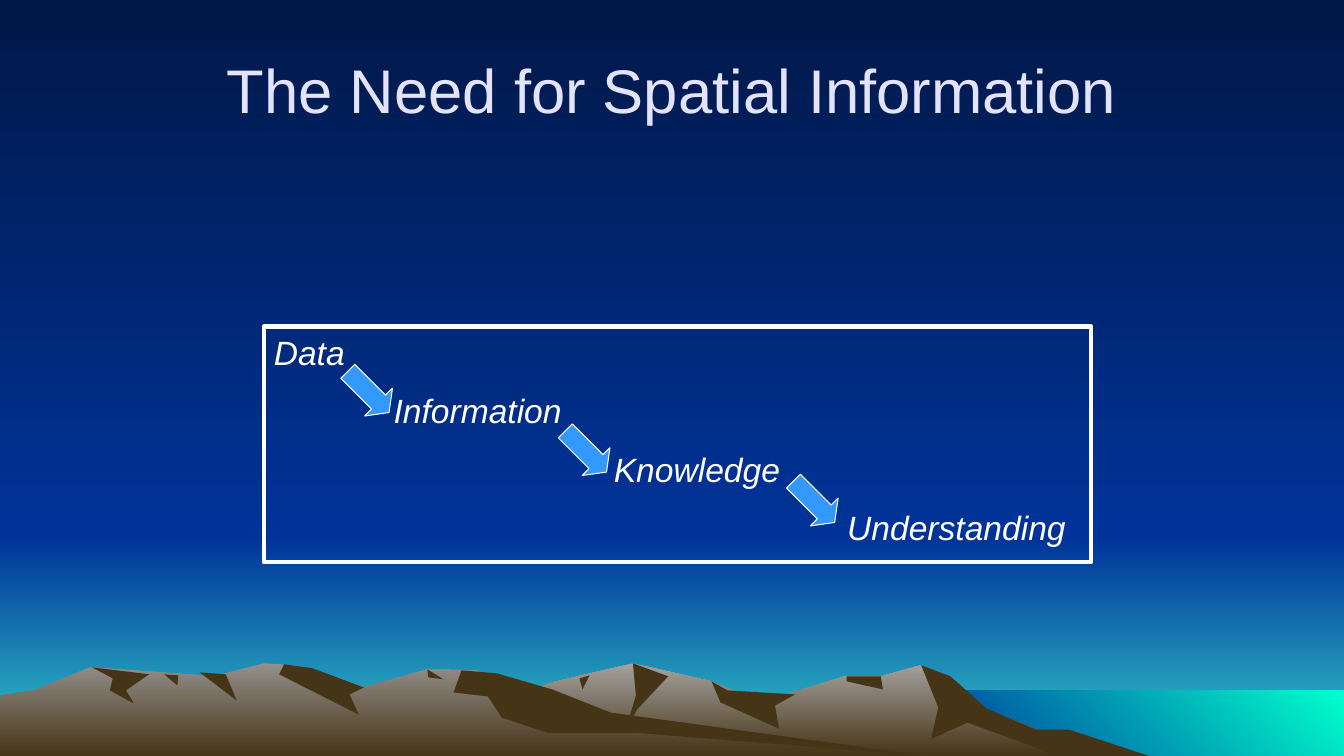
from pptx import Presentation
from pptx.dml.color import RGBColor
from pptx.enum.shapes import MSO_SHAPE
from pptx.enum.text import MSO_ANCHOR, PP_ALIGN
from pptx.util import Cm, Pt

HEX = {"night": "001847", "blue": "003399", "dusk": "33CCCC", "sea": "00FFCC",
       "rock": "463416", "stone": "A5A29F", "ridge": "938F8B",
       "title": "E3E3FF", "white": "FFFFFF", "arrow": "3399FF"}
FONT = "Arial"
TITLE = "The Need for Spatial Information"

# word, indent in cm
STEPS = [("Data", 0), ("Information", 3.02), ("Knowledge", 8.57), ("Understanding", 14.45)]
# left, top in cm
ARROWS = [(8.79, 9.14), (14.27, 10.64), (20.02, 11.91)]

WIDE, HIGH, SHORE = 33.87, 19.05, 13.54
# left, top, right, bottom in cm, first and last colour, angle
BANDS = [
    (0, SHORE, WIDE, HIGH, "blue", "dusk", 270),
    (0, 0, WIDE, SHORE, "night", "blue", 270),
    (23.14, 17.4, WIDE, HIGH, "blue", "sea", 45),
]

# Outlines in hundredths of an inch; first colour of the slope, or None for plain rock
UNIT = Cm(2.54) / 100
HILLS = [
    ("stone", [(344, 750), (548, 677), (628, 658), (706, 676), (755, 697),
               (838, 671), (874, 671), (913, 660), (964, 698), (1094, 750)]),
    (None, [(914, 660), (943, 671), (979, 703), (1028, 724), (1061, 724),
            (1140, 750), (1050, 750), (960, 717), (924, 733), (931, 702)]),
    (None, [(628, 658), (663, 671), (632, 704), (620, 727), (631, 690)]),
    (None, [(706, 676), (722, 685), (789, 689), (769, 700), (773, 723), (715, 697)]),
    (None, [(840, 671), (874, 671), (876, 684), (840, 676)]),
    (None, [(575, 673), (585, 670), (578, 684)]),
    ("ridge", [(0, 750), (0, 690), (34, 685), (90, 662), (213, 671), (262, 658),
               (292, 660), (361, 682), (424, 664), (472, 665), (576, 712), (920, 750)]),
    (None, [(282, 659), (310, 663), (361, 682), (347, 689), (356, 709), (277, 669)]),
    (None, [(458, 665), (493, 668), (548, 684), (606, 707), (920, 750),
            (630, 727), (543, 727), (498, 712), (484, 691), (450, 687)]),
    (None, [(424, 664), (440, 674), (425, 672)]),
    (None, [(198, 667), (224, 669), (235, 695)]),
    (None, [(163, 669), (177, 670), (176, 680)]),
    (None, [(91, 662), (148, 669), (125, 685), (133, 698), (109, 685), (112, 673)]),
]


def rgb(name):
    return RGBColor.from_string(HEX[name])


def blend(fill, first, last, angle=270):
    fill.gradient()
    fill.gradient_angle = angle
    for stop, name in zip(fill.gradient_stops, (first, last)):
        stop.color.rgb = rgb(name)


def paint(shape, fill=None, line=None, width=0):
    """Set plain fill and line, where None means none, and drop the shadow."""
    shape.shadow.inherit = False
    if fill:
        shape.fill.solid()
        shape.fill.fore_color.rgb = rgb(fill)
    else:
        shape.fill.background()
    if line:
        shape.line.color.rgb = rgb(line)
        shape.line.width = Pt(width)
    else:
        shape.line.fill.background()


def write(para, text, size, color, italic=False):
    run = para.add_run()
    run.text = text
    font = run.font
    font.name, font.size, font.italic = FONT, Pt(size), italic
    font.color.rgb = rgb(color)


def scene(slide):
    blend(slide.background.fill, "night", "blue")
    for left, top, right, bottom, first, last, angle in BANDS:
        band = slide.shapes.add_shape(
            MSO_SHAPE.RECTANGLE, Cm(left), Cm(top), Cm(right - left), Cm(bottom - top))
        paint(band)
        blend(band.fill, first, last, angle)
    for light, points in HILLS:
        pen = slide.shapes.build_freeform(*points[0], scale=UNIT)
        pen.add_line_segments(points[1:], close=True)
        hill = pen.convert_to_shape()
        paint(hill, "rock")
        if light:
            blend(hill.fill, light, "rock")


def heading(slide):
    title = slide.shapes.title
    title.left, title.top, title.width, title.height = Cm(1.7), Cm(0.64), Cm(30.48), Cm(3.18)
    title.text_frame.vertical_anchor = MSO_ANCHOR.MIDDLE
    para = title.text_frame.paragraphs[0]
    para.alignment = PP_ALIGN.CENTER
    write(para, TITLE, 44, "title")
    # Bring the title in front of the scene
    title.element.getparent().append(title.element)


def stairs(slide):
    box = slide.shapes.add_shape(MSO_SHAPE.RECTANGLE, Cm(6.65), Cm(8.23), Cm(20.85), Cm(5.94))
    paint(box, line="white", width=3)
    frame = box.text_frame
    frame.word_wrap = True
    frame.vertical_anchor = MSO_ANCHOR.TOP
    for i, (word, indent) in enumerate(STEPS):
        para = frame.add_paragraph() if i else frame.paragraphs[0]
        para.alignment = PP_ALIGN.LEFT
        para._p.get_or_add_pPr().set("marL", str(Cm(indent)))
        if i:
            para.space_before = Pt(13)
        write(para, word, 24, "white", italic=True)
    for left, top in ARROWS:
        arrow = slide.shapes.add_shape(
            MSO_SHAPE.DOWN_ARROW, Cm(left), Cm(top), Cm(0.99), Cm(1.47))
        arrow.rotation = 315
        arrow.adjustments[0], arrow.adjustments[1] = 0.5, 0.375
        paint(arrow, "arrow", "white", 0.75)


def main():
    deck = Presentation()
    deck.slide_width, deck.slide_height = Cm(WIDE), Cm(HIGH)
    slide = deck.slides.add_slide(deck.slide_layouts[5])
    scene(slide)
    heading(slide)
    stairs(slide)
    deck.save("out.pptx")


if __name__ == "__main__":
    main()
